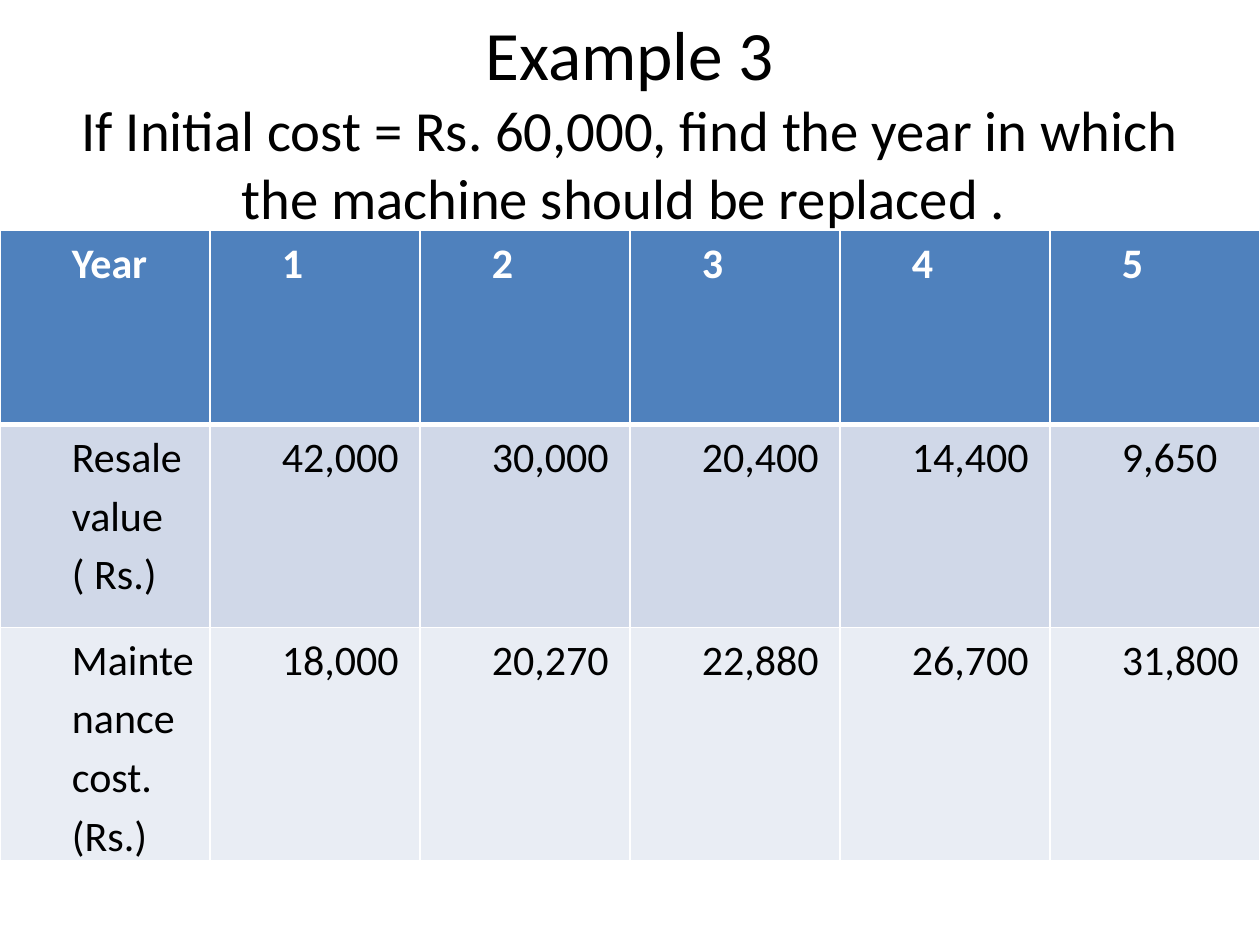
"""Build the slide with the machine replacement example and its cost table."""
from lxml import etree
from pptx import Presentation
from pptx.dml.color import RGBColor
from pptx.enum.text import MSO_ANCHOR, PP_ALIGN
from pptx.oxml.ns import qn
from pptx.util import Cm, Pt

MIDDLE = MSO_ANCHOR.MIDDLE
CENTER = PP_ALIGN.CENTER
THEME = {
    "font": "Calibri",
    "text": "000000",
    "header_text": "FFFFFF",
    "border": "FFFFFF",
    "row_fills": ["4F81BD", "D0D8E8", "E9EDF4"],
    "heading_size": 39.6,
    "question_size": 32.4,
    "table_size": 24,
}
COST_ROWS = [
    ["Year", "1", "2", "3", "4", "5"],
    ["Resale value ( Rs.)", "42,000", "30,000", "20,400", "14,400", "9,650"],
    ["Maintenance cost. (Rs.)", "18,000", "20,270", "22,880", "26,700", "31,800"],
]
ROW_HEIGHTS = [3.91, 4.09, 4.7]
SLIDE_WIDTH = 25.4


def style_run(run, size, color, bold=False):
    for name, value in {"name": THEME["font"], "size": Pt(size), "bold": bold}.items():
        setattr(run.font, name, value)
    run.font.color.rgb = RGBColor.from_string(color)


def add_border(cell, side, width):
    line = etree.Element(qn(f"a:{side}"), w=str(Pt(width)))
    fill = etree.SubElement(line, qn("a:solidFill"))
    etree.SubElement(fill, qn("a:srgbClr"), val=THEME["border"])
    return line


presentation = Presentation()
presentation.slide_width = Cm(SLIDE_WIDTH)
presentation.slide_height = Cm(19.05)
slide = presentation.slides.add_slide(presentation.slide_layouts[6])

title = slide.shapes.add_textbox(Cm(1.27), Cm(0.76), Cm(22.86), Cm(4.75)).text_frame
title_format = {"word_wrap": True, "vertical_anchor": MIDDLE, "margin_bottom": Cm(1.52)}
for name, value in title_format.items():
    setattr(title, name, value)
statement = title.paragraphs[0]
statement.alignment = CENTER
heading = statement.add_run()
heading.text = "Example 3"
style_run(heading, THEME["heading_size"], THEME["text"])
statement.add_line_break()
question = statement.add_run()
question.text = (
    "If Initial cost = Rs. 60,000, find the year in which "
    "the machine should be replaced . "
)
style_run(question, THEME["question_size"], THEME["text"])

costs = slide.shapes.add_table(
    len(COST_ROWS), len(COST_ROWS[0]),
    Cm(0), Cm(4.65), Cm(SLIDE_WIDTH), Cm(sum(ROW_HEIGHTS)),
).table
for column in costs.columns:
    column.width = Cm(SLIDE_WIDTH / len(COST_ROWS[0]))
cell_margins = {
    "margin_left": Cm(0.18), "margin_right": Cm(0.18),
    "margin_top": 0, "margin_bottom": 0,
}
for row_index, values in enumerate(COST_ROWS):
    is_header = row_index == 0
    costs.rows[row_index].height = Cm(ROW_HEIGHTS[row_index])
    border_widths = {
        "lnL": 1, "lnR": 1,
        "lnT": 3 if row_index == 1 else 1,
        "lnB": 3 if is_header else 1,
    }
    for column_index, value in enumerate(values):
        cell = costs.cell(row_index, column_index)
        for name, margin in cell_margins.items():
            setattr(cell, name, margin)
        entry = cell.text_frame.paragraphs[0]
        entry.line_spacing = 1.15
        entry._p.get_or_add_pPr().set("marL", str(Cm(1.27)))
        run = entry.add_run()
        run.text = value
        color = THEME["header_text"] if is_header else THEME["text"]
        style_run(run, THEME["table_size"], color, is_header)
        cell_properties = cell._tc.get_or_add_tcPr()
        for side, width in border_widths.items():
            cell_properties.append(add_border(cell, side, width))
        cell.fill.solid()
        cell.fill.fore_color.rgb = RGBColor.from_string(THEME["row_fills"][row_index])

presentation.save("out.pptx")
